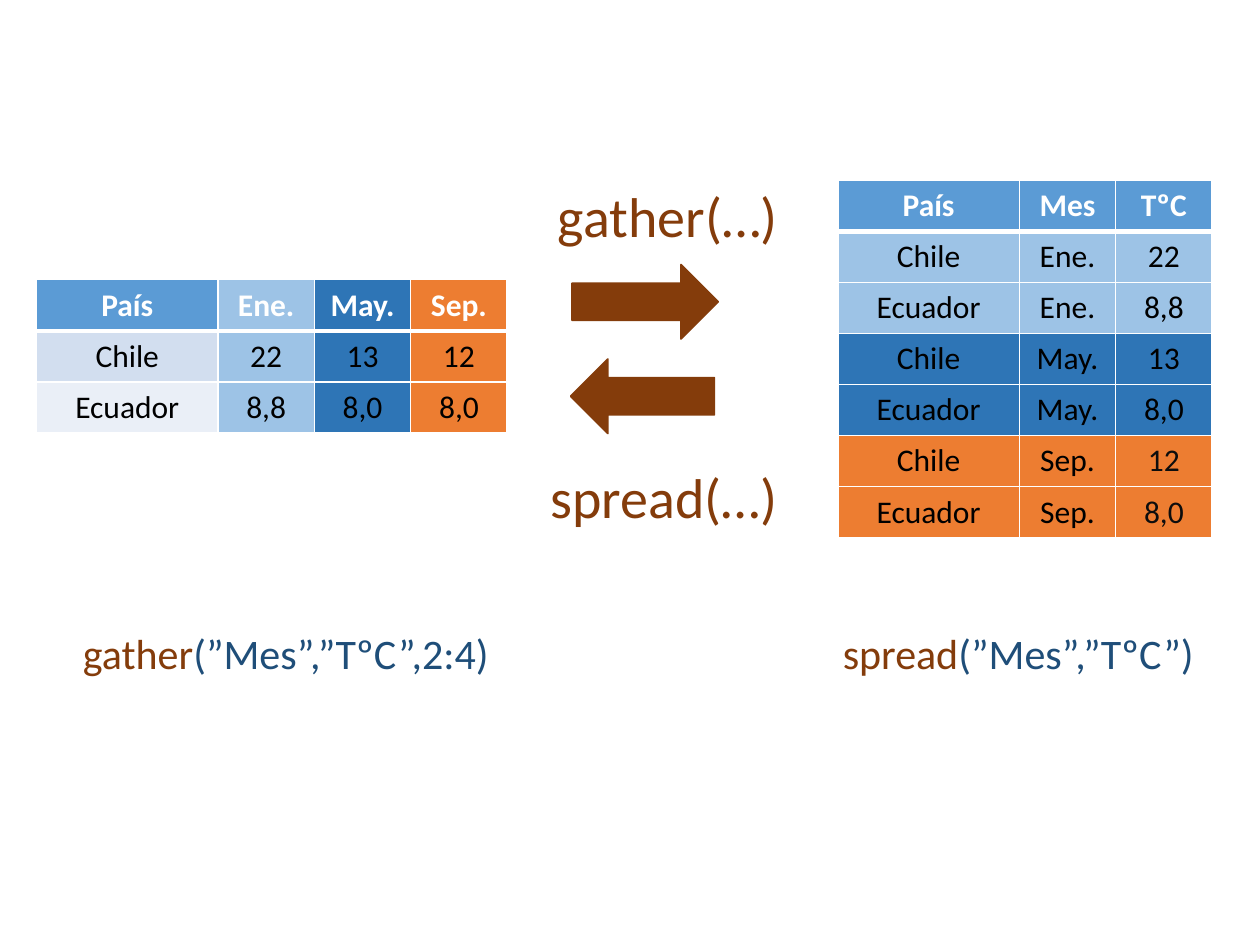
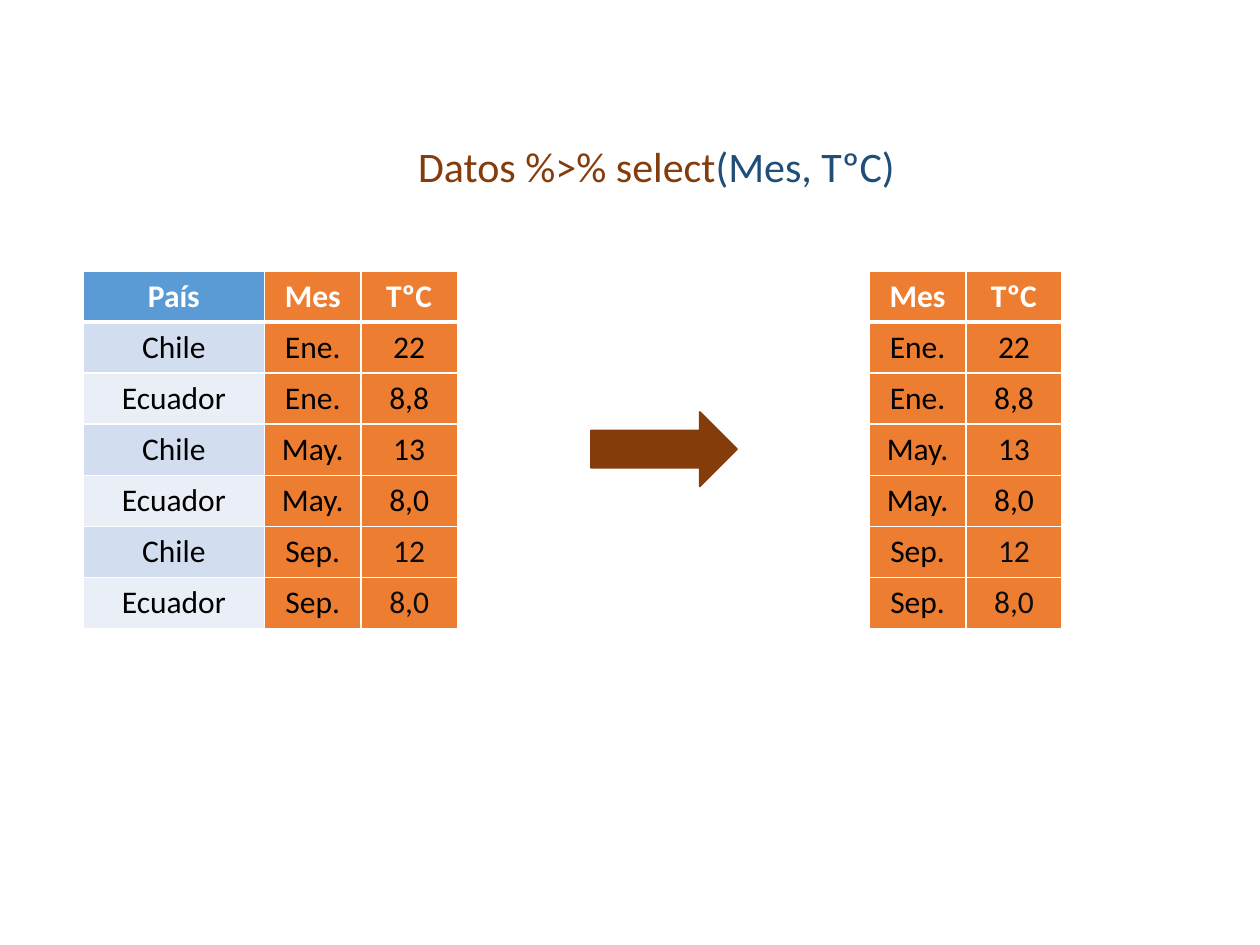
from lxml import etree
from pptx import Presentation
from pptx.dml.color import RGBColor
from pptx.enum.shapes import MSO_SHAPE
from pptx.enum.text import MSO_AUTO_SIZE, PP_ALIGN
from pptx.oxml.ns import qn
from pptx.util import Inches, Pt

RIGHT_ARROW = MSO_SHAPE.RIGHT_ARROW
LEFT_ARROW = MSO_SHAPE.LEFT_ARROW
CENTER = PP_ALIGN.CENTER
FIT_SHAPE = MSO_AUTO_SIZE.SHAPE_TO_FIT_TEXT
BLANK_LAYOUT = 6

FONT = "Calibri"
COLORS = {
    "white": "FFFFFF", "black": "000000", "ink": "0D0D0D",
    "header": "5B9BD5", "odd": "D2DEEF", "even": "EAEFF7",
    "light": "9DC3E6", "blue": "2E75B6", "orange": "ED7D31",
    "verb": "843C0B", "args": "1F4E79",
}
ROW_HEIGHT = 2.84 / 7
COUNTRY_WIDTH = 1.44
VALUE_WIDTH = 1.53 / 2
COUNTRIES = ["Chile", "Ecuador"]
MONTHS = {"Ene.": ["22", "8,8"], "May.": ["13", "8,0"], "Sep.": ["12", "8,0"]}
MONTH_FILLS = ["light", "blue", "orange"]
COUNTRY_FILLS = ["odd", "even"]
LONG_HEADER = ["País", "Mes", "TºC"]


def rgb(name):
    """Return the named palette colour."""
    return RGBColor.from_string(COLORS[name])


def write(paragraph, text, size=18, color="black", bold=False, align=None):
    """Append a formatted run to a paragraph."""
    run = paragraph.add_run()
    run.text = text
    run.font.name, run.font.size, run.font.bold = FONT, Pt(size), bold
    run.font.color.rgb = rgb(color)
    if align is not None:
        paragraph.alignment = align


def add_code(slide, left, top, width, height, verb, args="", size=24):
    """Add a function call with its verb and arguments in two colours."""
    box = slide.shapes.add_textbox(Inches(left), Inches(top), Inches(width), Inches(height))
    frame = box.text_frame
    frame.word_wrap = False
    frame.auto_size = FIT_SHAPE
    write(frame.paragraphs[0], verb, size=size, color="verb")
    if args:
        write(frame.paragraphs[0], args, size=size, color="args")


def add_arrow(slide, left, top, width=1.16, direction=RIGHT_ARROW):
    """Add a solid brown block arrow."""
    arrow = slide.shapes.add_shape(
        direction, Inches(left), Inches(top), Inches(width), Inches(0.59))
    arrow.shadow.inherit = False
    arrow.fill.solid()
    arrow.fill.fore_color.rgb = rgb("verb")
    arrow.line.color.rgb = rgb("verb")
    arrow.line.width = Pt(1)


def set_borders(cell, top, bottom):
    """Draw white cell borders, with top and bottom widths in points."""
    properties = cell._tc.get_or_add_tcPr()
    widths = {"a:lnL": 1, "a:lnR": 1, "a:lnT": top, "a:lnB": bottom}
    for position, (side, width) in enumerate(widths.items()):
        line = etree.Element(qn(side), w=str(Pt(width)))
        fill = etree.SubElement(line, qn("a:solidFill"))
        etree.SubElement(fill, qn("a:srgbClr"), val=COLORS["white"])
        properties.insert(position, line)


def add_data_table(slide, left, top, rows, fills, widths, ink=()):
    """Add a table of texts whose fills follow a matching grid of colour names."""
    frame = slide.shapes.add_table(
        len(rows), len(widths), Inches(left), Inches(top),
        Inches(sum(widths)), Inches(ROW_HEIGHT * len(rows)))
    table = frame.table
    for column, width in zip(table.columns, widths):
        column.width = Inches(width)
    for r, (texts, row_fills) in enumerate(zip(rows, fills)):
        table.rows[r].height = Inches(ROW_HEIGHT)
        for c, (text, fill) in enumerate(zip(texts, row_fills)):
            cell = table.cell(r, c)
            cell.fill.solid()
            cell.fill.fore_color.rgb = rgb(fill)
            set_borders(cell, top=3 if r == 1 else 1, bottom=3 if r == 0 else 1)
            last = c == len(texts) - 1
            color = "white" if r == 0 else "ink" if last and r in ink else "black"
            write(cell.text_frame.paragraphs[0], text, color=color,
                  bold=r == 0, align=CENTER)


def long_rows():
    """Return the long table: one row for each month and country."""
    return [LONG_HEADER] + [
        [country, month, value]
        for month, values in MONTHS.items()
        for country, value in zip(COUNTRIES, values)]


def wide_rows():
    """Return the wide table: one row for each country."""
    return [["País", *MONTHS]] + [
        [country, *values] for country, *values in zip(COUNTRIES, *MONTHS.values())]


def build_reshape(slide):
    """Show gather and spread between the wide and the long table."""
    wide_fills = [[first, *MONTH_FILLS] for first in ["header", *COUNTRY_FILLS]]
    long_fills = [["header"] * 3] + [[fill] * 3 for fill in MONTH_FILLS for _ in COUNTRIES]
    add_data_table(slide, 0.29, 2.22, wide_rows(), wide_fills,
                   [COUNTRY_WIDTH] + [VALUE_WIDTH] * 3)
    add_data_table(slide, 6.65, 1.43, long_rows(), long_fills,
                   [COUNTRY_WIDTH] + [VALUE_WIDTH] * 2, ink=(5, 6))
    add_code(slide, 0.56, 4.93, 3.45, 0.5, "gather", "(”Mes”,”TºC”,2:4)")
    add_code(slide, 6.59, 4.93, 3.01, 0.5, "spread", "(”Mes”,”TºC”)")
    add_arrow(slide, 4.54, 2.1)
    add_arrow(slide, 4.53, 2.85, width=1.14, direction=LEFT_ARROW)
    add_code(slide, 4.33, 1.39, 1.97, 0.64, "gather(…)", size=32)
    add_code(slide, 4.27, 3.62, 2.02, 0.64, "spread(…)", size=32)


def build_select(slide):
    """Show select keeping two columns of the long table."""
    rows = long_rows()
    kept = ["orange"] * 2
    fills = [[first, *kept] for first in ["header"] + COUNTRY_FILLS * len(MONTHS)]
    add_data_table(slide, 0.66, 2.15, rows, fills,
                   [COUNTRY_WIDTH] + [VALUE_WIDTH] * 2, ink=(5, 6))
    add_code(slide, 3.22, 1.07, 4.01, 0.5, "Datos %>% select", "(Mes, TºC)")
    add_data_table(slide, 6.9, 2.15, [row[1:] for row in rows], [kept] * len(rows),
                   [VALUE_WIDTH] * 2, ink=(5, 6))
    add_arrow(slide, 4.69, 3.27)


def main():
    """Build and save the presentation."""
    deck = Presentation()
    deck.slide_width, deck.slide_height = Inches(10), Inches(7.5)
    for build in (build_reshape, build_select):
        build(deck.slides.add_slide(deck.slide_layouts[BLANK_LAYOUT]))
    deck.save("out.pptx")


main()
